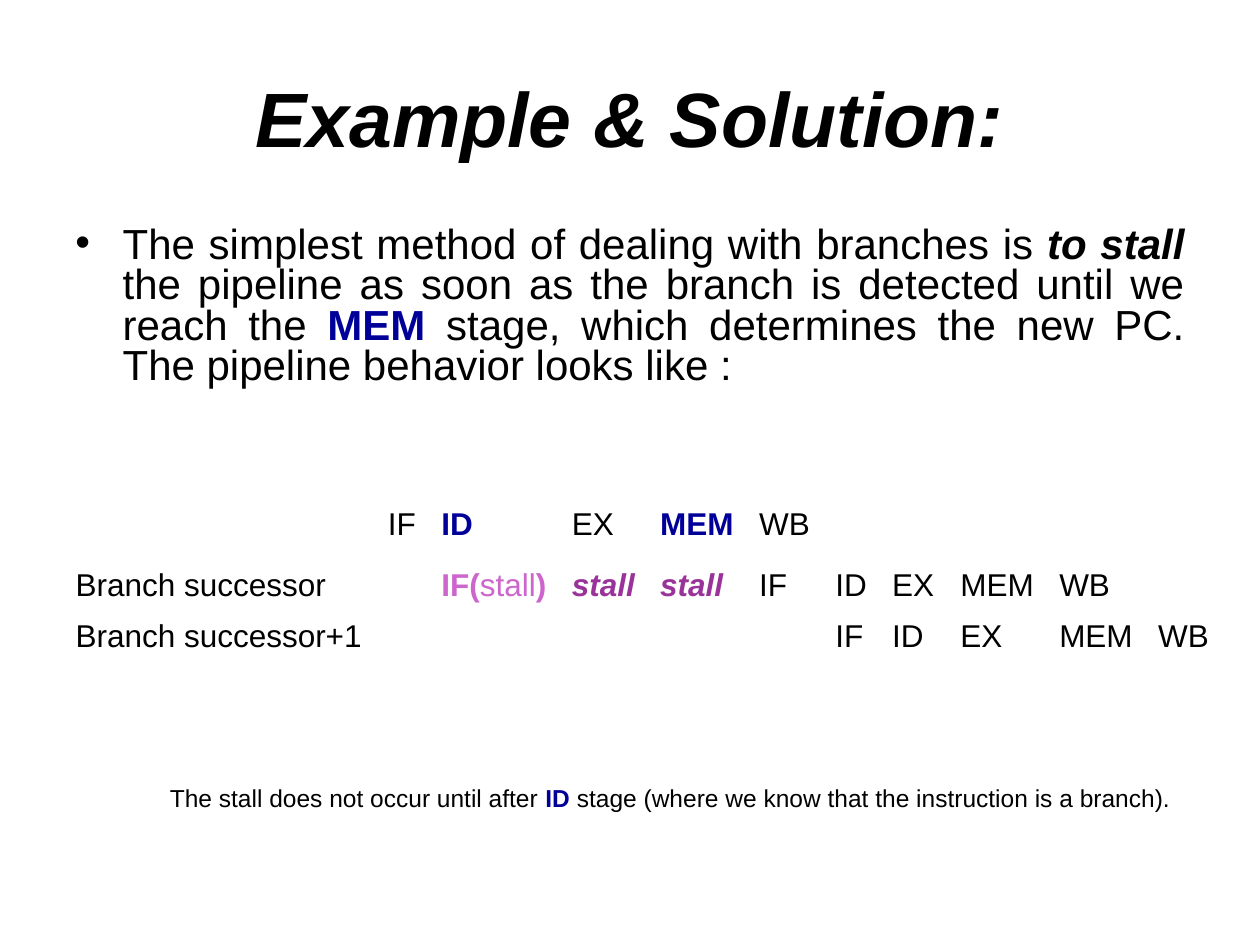
"""Build the slide on stalling a pipeline at a branch."""
import pptx
import pptx.dml.color
import pptx.enum.text
import pptx.oxml
import pptx.oxml.ns
import pptx.util

Pt = pptx.util.Pt
ALIGN = pptx.enum.text.PP_ALIGN
ANCHOR = pptx.enum.text.MSO_ANCHOR

PLAIN = {"color": "000000", "bold": False, "italic": False}
STAGE = {**PLAIN, "color": "000099", "bold": True}
FETCH = {**PLAIN, "color": "CC66CC"}
FETCH_BOLD = {**FETCH, "bold": True}
STALL = {"color": "993399", "bold": True, "italic": True}
STRONG = {**PLAIN, "bold": True, "italic": True}

TITLE = [("Example & Solution:", STRONG)]
BODY = [
    ("The simplest method of dealing with branches is ", PLAIN),
    ("to stall", STRONG),
    (" the pipeline as soon as the branch is detected until we reach the ", PLAIN),
    ("MEM ", STAGE),
    ("stage, which determines the new PC. The pipeline behavior looks like :", PLAIN),
]
NOTE = [
    ("The stall does not occur until after ", PLAIN),
    ("ID ", STAGE),
    ("stage (where we know that the instruction is a branch).", PLAIN),
]
FETCH_STALL = [("IF(", FETCH_BOLD), ("stall", FETCH), (")", FETCH_BOLD)]
PIPELINE = [
    ["", "IF", [("ID", STAGE)], "EX", [("MEM", STAGE)], "WB", "", "", "", "", ""],
    ["Branch successor", "", FETCH_STALL, [("stall", STALL)], [("stall", STALL)],
     "IF", "ID", "EX", "MEM", "WB", ""],
    ["Branch successor+1", "", "", "", "", "", "IF", "ID", "EX", "MEM", "WB"],
]
COL_WIDTHS = [178.5, 30.6, 74.5, 50.5, 56.5, 43.6, 32.5, 39, 56.5, 56.5, 43.6]
ROW_HEIGHTS = [41, 28.8, 28.8]


def rgb(value):
    return pptx.dml.color.RGBColor.from_string(value)


def add_runs(p, runs, size):
    for text, style in runs:
        r = p.add_run()
        r.text = text
        formats = {"name": "Arial", "size": Pt(size), **style}
        r.font.color.rgb = rgb(formats.pop("color"))
        for name, value in formats.items():
            setattr(r.font, name, value)


def add_text(s, box, runs, size, anchor=ANCHOR.MIDDLE, **paragraph):
    tf = s.shapes.add_textbox(*map(Pt, box)).text_frame
    tf.word_wrap = True
    tf.vertical_anchor = anchor
    p = tf.paragraphs[0]
    for name, value in paragraph.items():
        setattr(p, name, value)
    add_runs(p, runs, size)
    return p


def add_bullet(p, indent):
    pPr = p._p.get_or_add_pPr()
    pPr.set("marL", str(Pt(indent)))
    pPr.set("indent", str(Pt(-indent)))
    ns = pptx.oxml.ns.nsdecls("a")
    for xml in (f'<a:buClr {ns}><a:srgbClr val="000000"/></a:buClr>',
                f'<a:buFont {ns} typeface="Arial"/>',
                f'<a:buChar {ns} char="•"/>'):
        pPr.append(pptx.oxml.parse_xml(xml))


def add_pipeline(s, left, top):
    size = (sum(COL_WIDTHS), sum(ROW_HEIGHTS))
    table = s.shapes.add_table(len(PIPELINE), len(COL_WIDTHS),
                               *map(Pt, (left, top, *size))).table
    table.first_row = table.horz_banding = False
    for column, width in zip(table.columns, COL_WIDTHS):
        column.width = Pt(width)
    for row, height, entries in zip(table.rows, ROW_HEIGHTS, PIPELINE):
        row.height = Pt(height)
        for cell, entry in zip(row.cells, entries):
            cell.fill.background()
            cell.vertical_anchor = ANCHOR.MIDDLE
            if entry:
                runs = [(entry, PLAIN)] if isinstance(entry, str) else entry
                add_runs(cell.text_frame.paragraphs[0], runs, 18)


def main():
    prs = pptx.Presentation()
    prs.slide_width, prs.slide_height = Pt(720), Pt(540)
    s = prs.slides.add_slide(prs.slide_layouts[6])
    add_text(s, (36, 21.6, 648, 90), TITLE, 44, alignment=ALIGN.CENTER)
    p = add_text(s, (36, 126.3, 648, 108), BODY, 24, ANCHOR.TOP,
                 alignment=ALIGN.JUSTIFY, line_spacing=0.8)
    add_bullet(p, 27)
    add_pipeline(s, 36, 279.4)
    add_text(s, (90, 443.8, 588.2, 24.5), NOTE, 14)
    prs.save("out.pptx")


if __name__ == "__main__":
    main()
